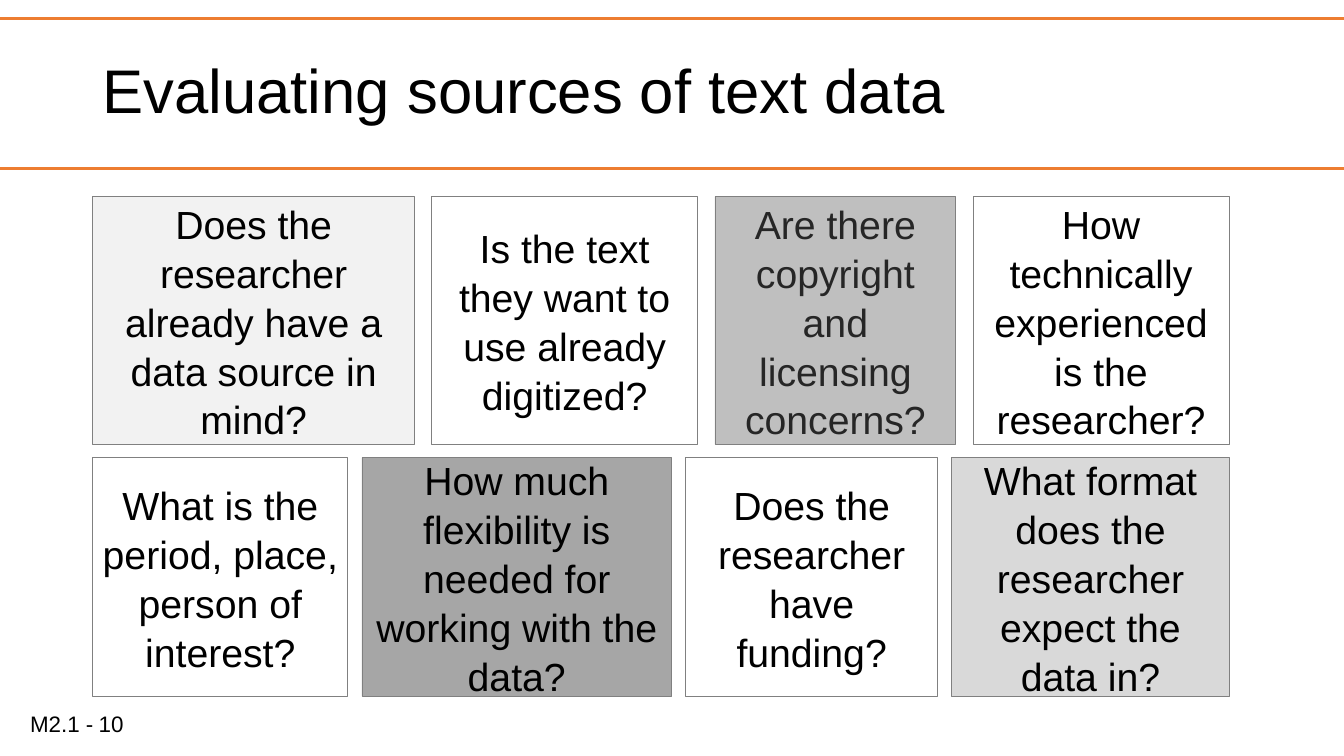
from lxml import etree
from pptx import Presentation
from pptx.dml.color import RGBColor
from pptx.enum.shapes import MSO_CONNECTOR, MSO_SHAPE
from pptx.enum.text import MSO_ANCHOR, PP_ALIGN
from pptx.oxml.ns import qn
from pptx.util import Inches, Pt

RECTANGLE = MSO_SHAPE.RECTANGLE
STRAIGHT = MSO_CONNECTOR.STRAIGHT
MIDDLE = MSO_ANCHOR.MIDDLE
LEFT, CENTER = PP_ALIGN.LEFT, PP_ALIGN.CENTER

BLACK = RGBColor(0x00, 0x00, 0x00)
CHARCOAL = RGBColor(0x26, 0x26, 0x26)
BORDER_GRAY = RGBColor(0x80, 0x80, 0x80)
DARK_GRAY = RGBColor(0xA6, 0xA6, 0xA6)
MEDIUM_GRAY = RGBColor(0xBF, 0xBF, 0xBF)
LIGHT_GRAY = RGBColor(0xD9, 0xD9, 0xD9)
PALE_GRAY = RGBColor(0xF2, 0xF2, 0xF2)
ORANGE = RGBColor(0xED, 0x7D, 0x31)

SLIDE_WIDTH, SLIDE_HEIGHT = 13.33, 7.5
MARGIN = 0.92

# Each row: top, height, gap between cards, cards (width, fill, text color, question)
ROWS = [
    (1.95, 2.46, 0.17, [
        (3.19, PALE_GRAY, BLACK, "Does the researcher already have a data source in mind?"),
        (2.64, None, BLACK, "Is the text they want to use already digitized?"),
        (2.39, MEDIUM_GRAY, CHARCOAL, "Are there copyright and licensing concerns?"),
        (2.54, None, BLACK, "How technically experienced is the researcher?"),
    ]),
    (4.54, 2.37, 0.14, [
        (2.53, None, BLACK, "What is the period, place, person of interest?"),
        (3.07, DARK_GRAY, BLACK, "How much flexibility is needed for working with the data?"),
        (2.5, None, BLACK, "Does the researcher have funding?"),
        (2.75, LIGHT_GRAY, BLACK, "What format does the researcher expect the data in?"),
    ]),
]


def write_text(shape, text, size, color=BLACK, align=LEFT, spacing=1.0, inset=0.1):
    frame = shape.text_frame
    frame.word_wrap = True
    frame.vertical_anchor = MIDDLE
    frame.margin_left = frame.margin_right = Inches(inset)
    paragraph = frame.paragraphs[0]
    paragraph.text = text
    paragraph.alignment = align
    paragraph.line_spacing = spacing
    paragraph.font.name = "Arial"
    paragraph.font.size = Pt(size)
    paragraph.font.color.rgb = color


presentation = Presentation()
presentation.slide_width = Inches(SLIDE_WIDTH)
presentation.slide_height = Inches(SLIDE_HEIGHT)
slide = presentation.slides.add_slide(presentation.slide_layouts[6])
shapes = slide.shapes

for rule_top in (0.18, 1.67):
    rule = shapes.add_connector(STRAIGHT, 0, Inches(rule_top),
                                presentation.slide_width, Inches(rule_top))
    rule.line.color.rgb = ORANGE
    rule.line.width = Pt(2.25)
    etree.SubElement(rule.element.spPr, qn("a:effectLst"))

title = shapes.add_textbox(Inches(MARGIN), Inches(0.2), Inches(11.5), Inches(1.45))
write_text(title, "Evaluating sources of text data", size=44, spacing=0.9)

for top, height, gap, cards in ROWS:
    left = MARGIN
    for width, fill, color, question in cards:
        card = shapes.add_shape(RECTANGLE, Inches(left), Inches(top),
                                Inches(width), Inches(height))
        card.shadow.inherit = False
        if fill is None:
            card.fill.background()
        else:
            card.fill.solid()
            card.fill.fore_color.rgb = fill
        card.line.color.rgb = BORDER_GRAY
        card.line.width = Pt(0.5)
        write_text(card, question, size=28, color=color, align=CENTER,
                   spacing=1.04, inset=0.09)
        left += width + gap

module_label = shapes.add_textbox(Inches(0.2), Inches(6.99), Inches(0.98), Inches(0.37))
write_text(module_label, "M2.1 -", size=16)
page_number = shapes.add_textbox(Inches(0.88), Inches(6.98), Inches(3), Inches(0.4))
write_text(page_number, "10", size=16)

presentation.save("out.pptx")
